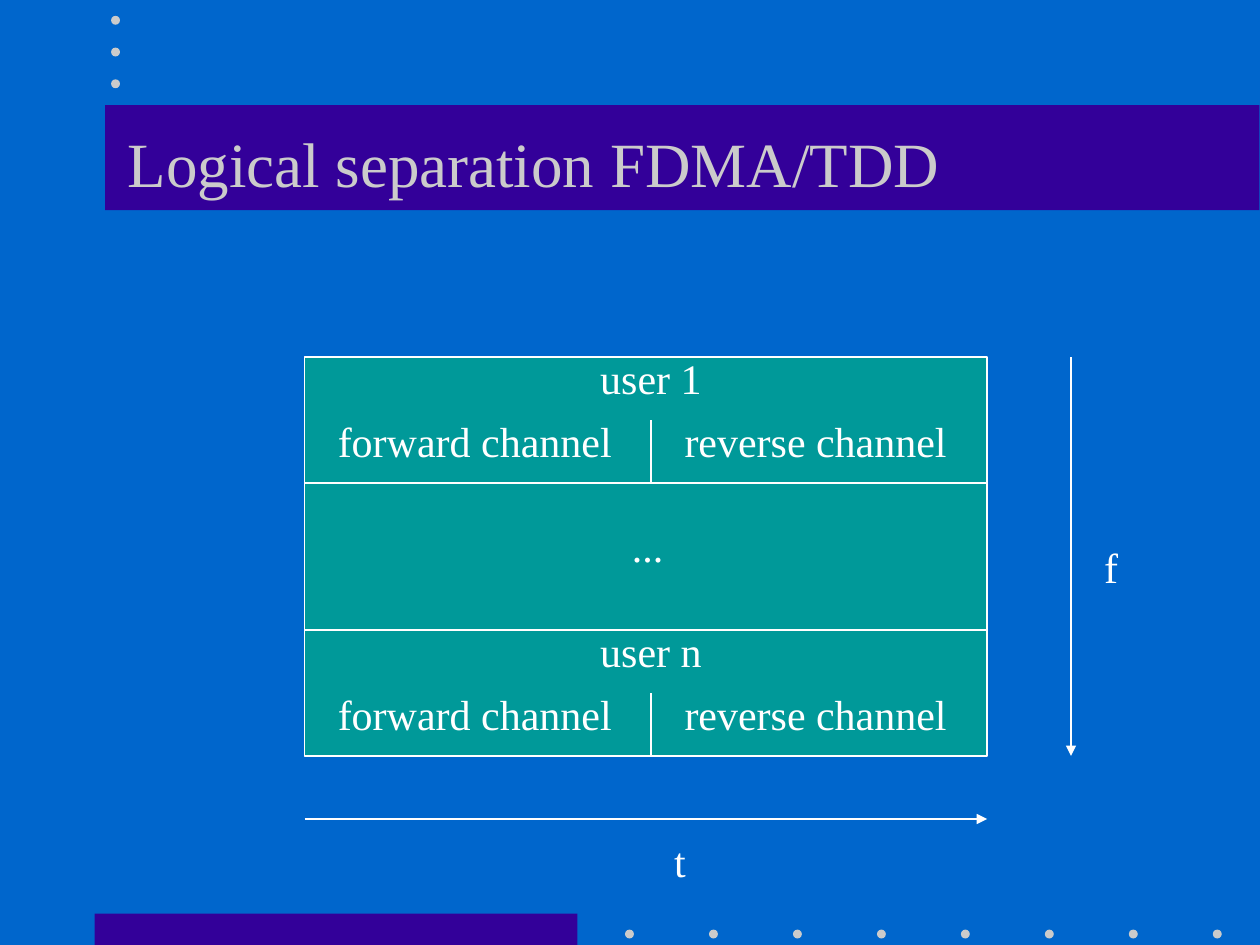
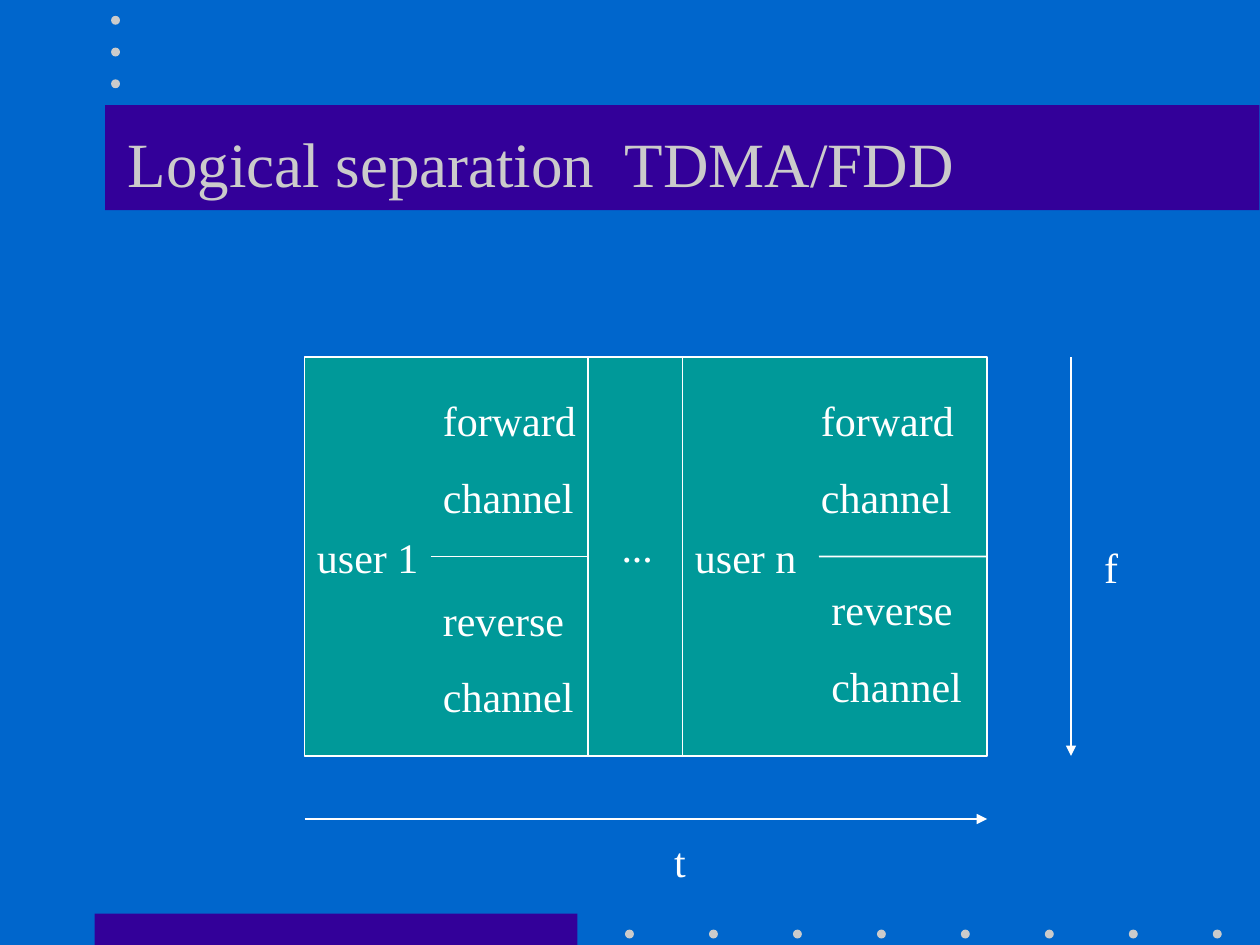
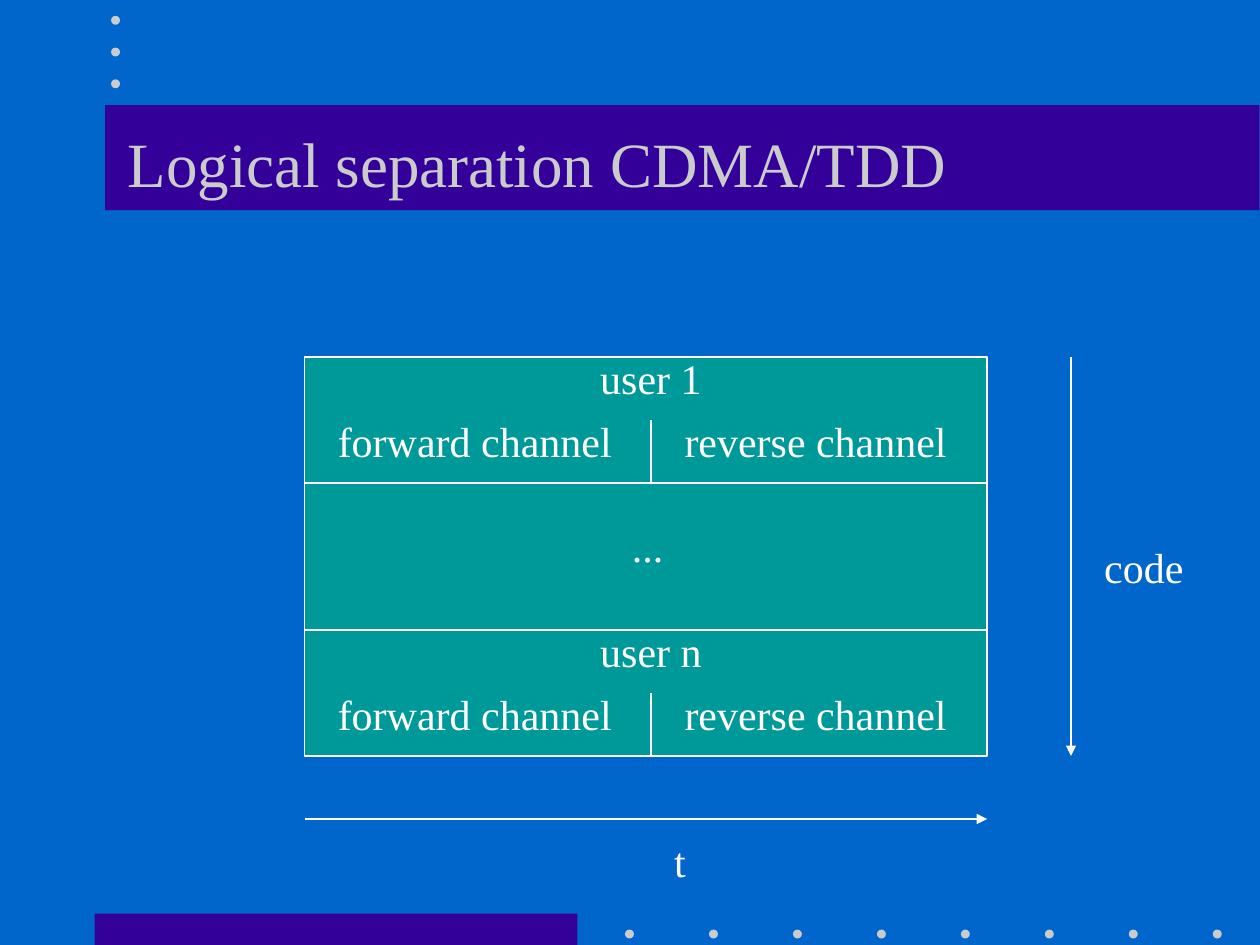
from dataclasses import dataclass

from lxml.etree import SubElement
from pptx import Presentation
from pptx.dml.color import RGBColor
from pptx.enum.shapes import MSO_CONNECTOR, MSO_SHAPE
from pptx.enum.text import MSO_ANCHOR, MSO_AUTO_SIZE
from pptx.oxml.ns import qn
from pptx.util import Cm, Pt

SLIDES = [
    dict(title="Logical separation FDMA/TDD", layout="rows", axis=("f", 1.47), time_width=0.64),
    dict(title="Logical separation  TDMA/FDD", layout="columns", axis=("f", 1.47), time_width=0.64),
    dict(title="Logical separation CDMA/TDD", layout="rows", axis=("code", 2.54), time_width=1.07),
]
USER_ROWS = [
    dict(user="user 1", top=7.2, user_width=4.88, forward_width=6.15),
    dict(user="user n", top=12.7, user_width=2.97, forward_width=6.35),
]
USER_COLUMNS = [
    dict(user="user 1", left=6.14, right=11.85, width=2.75, split=8.68,
         forward=(8.68, 7.83, 6.35), reverse=(8.68, 11.85, 3.81)),
    dict(user="user n", left=13.76, right=19.9, width=2.97, split=16.51,
         forward=(16.3, 7.83, 3.6), reverse=(16.51, 11.64, 3.6)),
]
LEFT, TOP, RIGHT, BOTTOM = 6.14, 7.2, 19.9, 15.24
MIDDLE = (TOP + BOTTOM) / 2
ROW_HEIGHT = 2.54
LINE_HEIGHT, PAIR_HEIGHT = 1.27, 2.82
BANDS = [(1.91, 18.42, 9.73, 0.63), (2.12, 2.12, 23.27, 2.12)]
DOTS = [(12.6 + i * 11.85 / 7, 18.74) for i in range(8)]
DOTS += [(2.24, 0.32 + i * 0.64) for i in range(3)]
DOT_SIZE = 0.18


@dataclass(frozen=True)
class Theme:
    back: RGBColor = RGBColor(0x00, 0x66, 0xCC)
    band: RGBColor = RGBColor(0x33, 0x00, 0x99)
    pale: RGBColor = RGBColor(0xCB, 0xCB, 0xCB)
    block: RGBColor = RGBColor(0x00, 0x99, 0x99)
    ink: RGBColor = RGBColor(0xFF, 0xFF, 0xFF)
    font: str = "Times New Roman"
    title: Pt = Pt(36)
    label: Pt = Pt(24)
    gap: Pt = Pt(15)
    rule: Pt = Pt(1)


THEME = Theme()


def add_text(s, text, x, y, w, h=LINE_HEIGHT, size=THEME.label, color=THEME.ink,
             before=THEME.gap, anchor=MSO_ANCHOR.TOP, fit=MSO_AUTO_SIZE.SHAPE_TO_FIT_TEXT):
    tf = s.shapes.add_textbox(Cm(x), Cm(y), Cm(w), Cm(h)).text_frame
    tf.word_wrap = True
    tf.auto_size = fit
    tf.vertical_anchor = anchor
    tf.text = text
    for p in tf.paragraphs:
        p.space_before = before
        p.font.size, p.font.name = size, THEME.font
        p.font.color.rgb = color


def add_block(s, kind, x, y, w, h, fill, line=None):
    sp = s.shapes.add_shape(kind, Cm(x), Cm(y), Cm(w), Cm(h))
    sp.shadow.inherit = False
    sp.fill.solid()
    sp.fill.fore_color.rgb = fill
    if line is None:
        sp.line.fill.background()
    else:
        sp.line.color.rgb = line
        sp.line.width = THEME.rule
    return sp


def add_line(s, x1, y1, x2, y2, arrow=False):
    cxn = s.shapes.add_connector(MSO_CONNECTOR.STRAIGHT, Cm(x1), Cm(y1), Cm(x2), Cm(y2))
    cxn.line.color.rgb = THEME.ink
    cxn.line.width = THEME.rule
    if arrow:
        SubElement(cxn.line._get_or_add_ln(), qn("a:tailEnd"), type="triangle")
    SubElement(cxn._element.spPr, qn("a:effectLst"))
    return cxn


def add_frame(s, title):
    for band in BANDS:
        add_block(s, MSO_SHAPE.RECTANGLE, *band, THEME.band)
    for x, y in DOTS:
        add_block(s, MSO_SHAPE.OVAL, x, y, DOT_SIZE, DOT_SIZE, THEME.pale)
    add_text(s, title, 2.33, 1.69, 21.17, 3.18, size=THEME.title, color=THEME.pale,
             before=Pt(0), anchor=MSO_ANCHOR.MIDDLE, fit=MSO_AUTO_SIZE.NONE)


def add_axes(s, axis, time_width):
    name, width = axis
    add_line(s, 21.59, TOP, 21.59, BOTTOM, arrow=True)
    add_text(s, name, 22.01, 10.8, width)
    add_line(s, LEFT, 16.51, RIGHT, 16.51, arrow=True)
    add_text(s, "t", 13.34, 16.72, time_width)


def add_rows(s, block):
    for y in (TOP + ROW_HEIGHT, BOTTOM - ROW_HEIGHT):
        add_line(s, LEFT, y, RIGHT, y)
    for row in USER_ROWS:
        y = row["top"]
        add_text(s, row["user"], 11.85, y - 0.21, row["user_width"])
        add_text(s, "forward channel", 6.56, y + 1.06, row["forward_width"])
        add_text(s, "reverse channel", 13.55, y + 1.06, 6.77)
        add_line(s, 13.12, y + ROW_HEIGHT / 2, 13.12, y + ROW_HEIGHT)
    add_text(s, "...", 12.49, 10.37, 1.27)


def add_columns(s, block):
    for col in USER_COLUMNS:
        add_text(s, col["user"], col["left"], 10.58, col["width"])
        for way in ("forward", "reverse"):
            add_text(s, f"{way}\nchannel", *col[way], PAIR_HEIGHT)
        split = add_line(s, col["split"], MIDDLE, col["right"], MIDDLE)
        if col["right"] == RIGHT:
            split.end_connect(block, 3)
    for x in (USER_COLUMNS[0]["right"], USER_COLUMNS[1]["left"]):
        add_line(s, x, TOP, x, BOTTOM)
    add_text(s, "...", 12.28, 10.37, 1.27)


def main():
    prs = Presentation()
    prs.slide_width, prs.slide_height = Cm(25.4), Cm(19.05)
    fill = prs.slide_master.background.fill
    fill.solid()
    fill.fore_color.rgb = THEME.back
    layouts = {"rows": add_rows, "columns": add_columns}
    for content in SLIDES:
        s = prs.slides.add_slide(prs.slide_layouts[6])
        add_frame(s, content["title"])
        block = add_block(s, MSO_SHAPE.RECTANGLE, LEFT, TOP, RIGHT - LEFT, BOTTOM - TOP,
                          THEME.block, THEME.ink)
        add_axes(s, content["axis"], content["time_width"])
        layouts[content["layout"]](s, block)
    prs.save("out.pptx")


if __name__ == "__main__":
    main()
